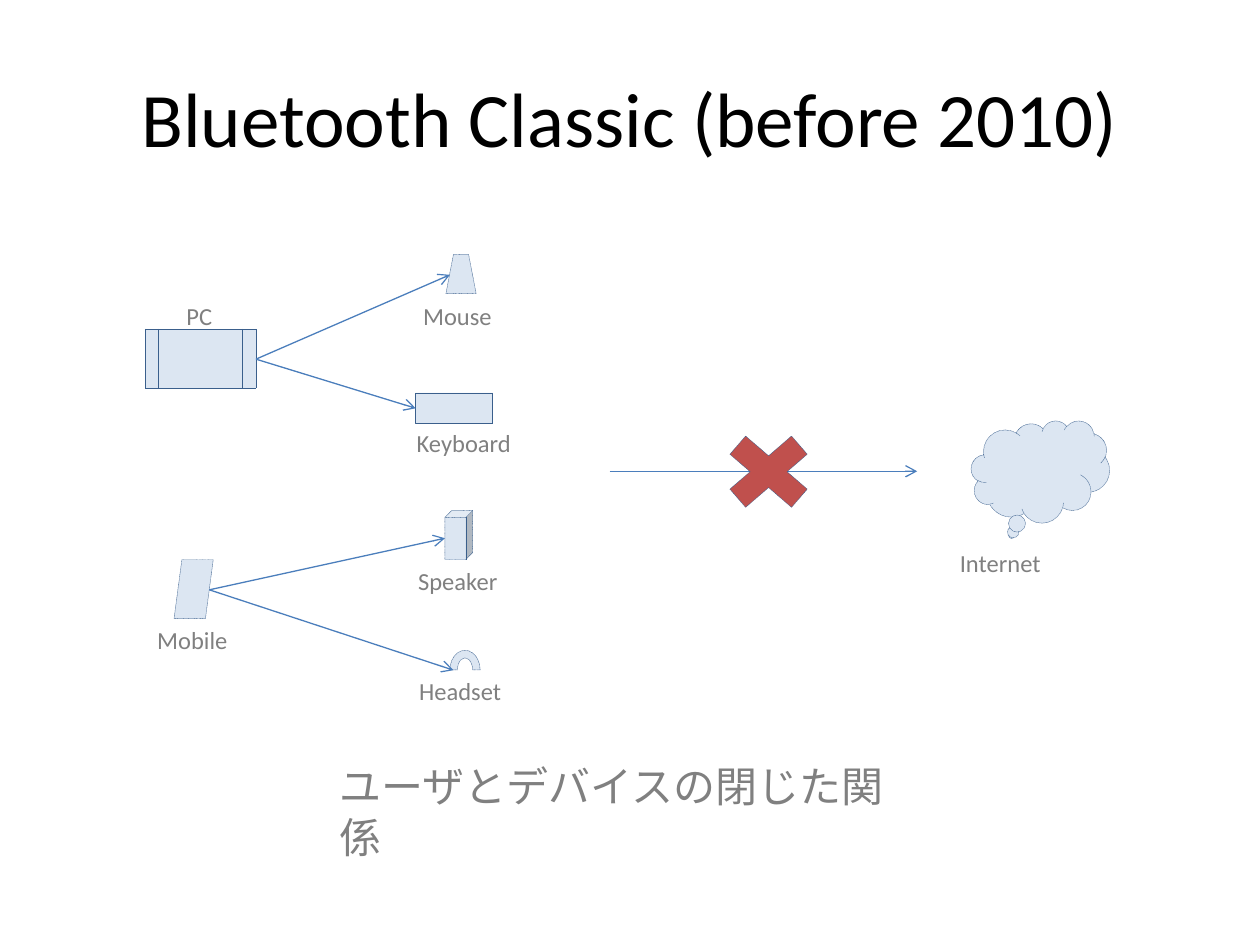
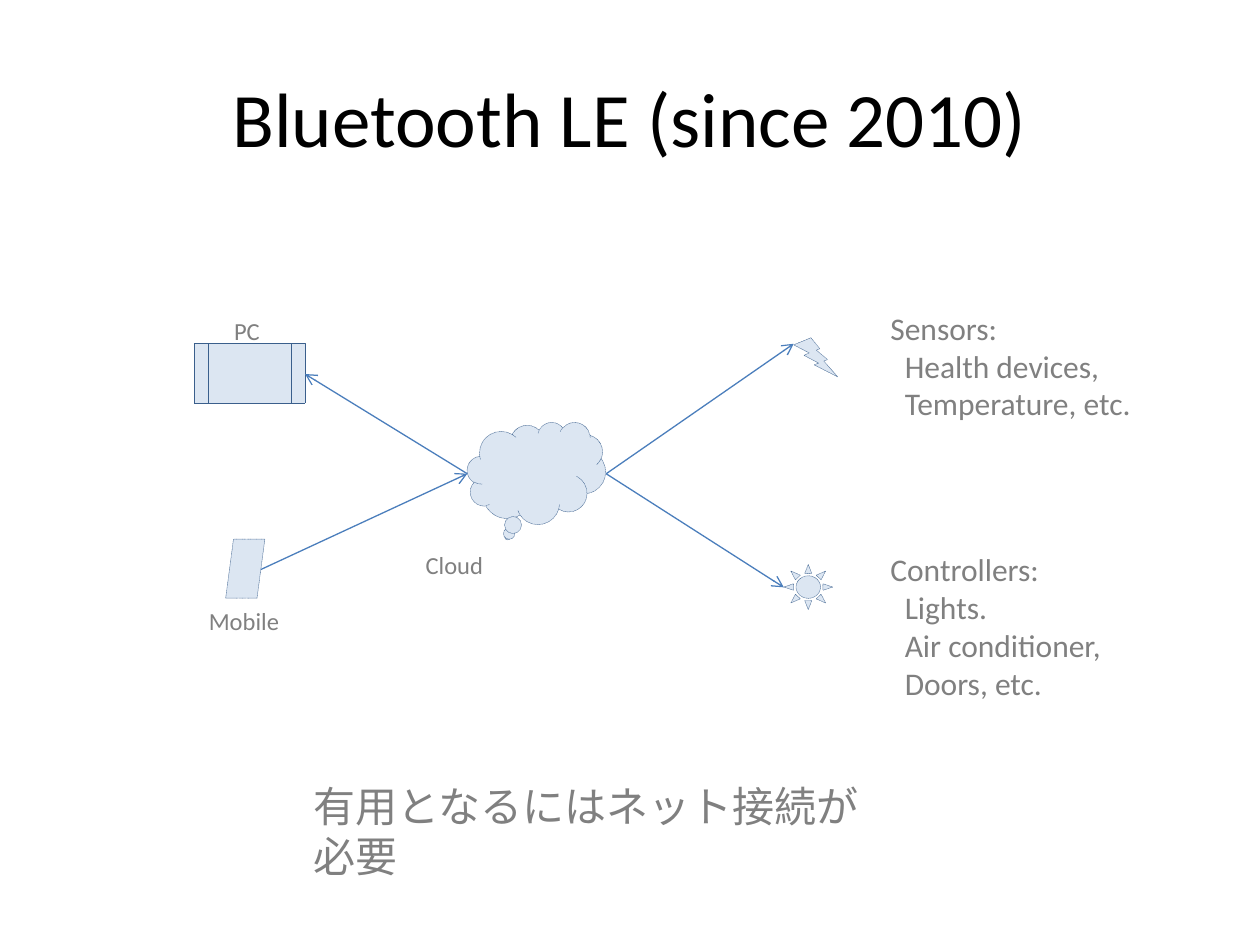
from lxml import etree
from pptx import Presentation
from pptx.dml import color
from pptx.enum import dml, shapes, text
from pptx.oxml import ns
from pptx.util import Cm, Pt

COLORS = {"title": "000000", "text": "808080", "icon": "DCE6F2",
          "outline": "3A5F8C", "arrow": "4B7EBC", "cross": "C0504D"}
FONT = "Calibri"
LABEL_HEIGHT = 0.86
LIST_INDENT = 0.29

# Icon outlines with width and height in cm
Preset = shapes.MSO_SHAPE
ICONS = {
    "cloud": (Preset.CLOUD_CALLOUT, 2.79, 2.06),
    "mobile": (Preset.FLOWCHART_DATA, 0.79, 1.19),
    "pc": (Preset.FLOWCHART_PREDEFINED_PROCESS, 2.24, 1.19),
    "mouse": (Preset.TRAPEZOID, 0.61, 0.79),
    "keyboard": (Preset.RECTANGLE, 1.55, 0.61),
    "speaker": (Preset.CUBE, 0.56, 0.99),
    "headset": (Preset.BLOCK_ARC, 0.61, 0.79),
    "lights": (Preset.SUN, 0.99, 0.91),
    "sensor": (Preset.LIGHTNING_BOLT, 0.89, 0.79),
    "cross": (Preset.MATH_MULTIPLY, 2.39, 2.06),
}

# Label widths in cm
LABELS = {"Mobile": 1.96, "PC": 1.04, "Internet": 2.16, "Keyboard": 2.44,
          "Mouse": 1.9, "Speaker": 2.13, "Headset": 2.18, "Cloud": 1.68}

# Slide contents: positions are left and top in cm, arrows run start to end
SLIDES = [
    {
        "title": "Bluetooth Classic (before 2010)",
        "icons": [("cloud", 19.58, 8.48), ("mobile", 3.51, 11.28),
                  ("pc", 2.92, 6.63), ("mouse", 8.99, 5.13),
                  ("keyboard", 8.38, 7.92), ("speaker", 8.97, 10.29),
                  ("headset", 9.07, 13.11)],
        "arrows": [((5.16, 7.24), (9.07, 5.54)), ((5.16, 7.24), (8.38, 8.23)),
                   ((4.22, 11.89), (8.97, 10.85)),
                   ((4.22, 11.89), (9.14, 13.51)),
                   ((12.29, 9.5), (18.49, 9.5))],
        "marks": [("cross", 14.3, 8.48)],
        "labels": [("Mobile", 2.92, 12.47), ("PC", 3.51, 5.94),
                   ("Internet", 19.1, 10.92), ("Keyboard", 8.15, 8.51),
                   ("Mouse", 8.28, 5.94), ("Speaker", 8.18, 11.28),
                   ("Headset", 8.2, 13.51)],
        "lists": [],
        "caption": ("ユーザとデバイスの閉じた関係", 6.6, 15.21, 11.68),
    },
    {
        "title": "Bluetooth LE (since 2010)",
        "icons": [("cloud", 9.42, 8.51), ("mobile", 4.55, 10.87),
                  ("pc", 3.91, 6.93), ("lights", 15.8, 11.38),
                  ("sensor", 16, 6.81)],
        "arrows": [((9.42, 9.55), (6.15, 7.54)), ((5.26, 11.48), (9.42, 9.55)),
                   ((12.22, 9.55), (16, 6.93)), ((12.22, 9.55), (15.8, 11.84))],
        "marks": [],
        "labels": [("Mobile", 3.96, 12.09), ("PC", 4.47, 6.25),
                   ("Cloud", 8.33, 10.97)],
        "lists": [(["Sensors:", "Health devices,", "Temperature, etc."],
                   17.7, 6.1, 5.59, 2.57),
                  (["Controllers:", "Lights.", "Air conditioner,", "Doors, etc."],
                   17.7, 10.97, 5.59, 3.33)],
        "caption": ("有用となるにはネット接続が必要", 6.07, 15.6, 12.29),
    },
]


def add_text(slide, lines, box, size, color_name="text", wrap=True):
    """Add a text box; every line after the first is indented."""
    shape = slide.shapes.add_textbox(*[Cm(length) for length in box])
    frame = shape.text_frame
    frame.word_wrap = wrap
    for index, line in enumerate(lines):
        paragraph = frame.add_paragraph() if index else frame.paragraphs[0]
        if index:
            paragraph._p.get_or_add_pPr().set("marL", str(Cm(LIST_INDENT)))
        run = paragraph.add_run()
        run.text = line
        run.font.name = FONT
        run.font.size = Pt(size)
        run.font.color.rgb = color.RGBColor.from_string(COLORS[color_name])
    return frame


def add_icon(slide, name, left, top, fill="icon"):
    preset, width, height = ICONS[name]
    shape = slide.shapes.add_shape(preset, Cm(left), Cm(top), Cm(width), Cm(height))
    shape.shadow.inherit = False
    shape.fill.solid()
    shape.fill.fore_color.rgb = color.RGBColor.from_string(COLORS[fill])
    shape.line.color.rgb = color.RGBColor.from_string(COLORS["outline"])
    shape.line.width = Pt(0.25)
    shape.line.dash_style = dml.MSO_LINE.ROUND_DOT


presentation = Presentation()
presentation.slide_width = Cm(25.4)
presentation.slide_height = Cm(19.05)

for content in SLIDES:
    slide = presentation.slides.add_slide(presentation.slide_layouts[6])

    # Title
    frame = add_text(slide, [content["title"]], (1.27, 0.76, 22.86, 3.18), 44, "title")
    frame.vertical_anchor = text.MSO_ANCHOR.MIDDLE
    frame.paragraphs[0].alignment = text.PP_ALIGN.CENTER

    # Devices and cloud
    for name, left, top in content["icons"]:
        add_icon(slide, name, left, top)

    # Arrows
    for start, end in content["arrows"]:
        connector = slide.shapes.add_connector(
            shapes.MSO_CONNECTOR.STRAIGHT, *[Cm(length) for length in start + end])
        connector.line.color.rgb = color.RGBColor.from_string(COLORS["arrow"])
        connector.line.width = Pt(0.75)
        etree.SubElement(connector.line._get_or_add_ln(), ns.qn("a:tailEnd"), type="arrow")
        etree.SubElement(connector._element.spPr, ns.qn("a:effectLst"))

    # Cross over the blocked connection
    for name, left, top in content["marks"]:
        add_icon(slide, name, left, top, fill="cross")

    # Labels, device lists and caption
    for label, left, top in content["labels"]:
        add_text(slide, [label], (left, top, LABELS[label], LABEL_HEIGHT), 14, wrap=False)
    for lines, *box in content["lists"]:
        add_text(slide, lines, box, 18)
    caption, left, top, width = content["caption"]
    add_text(slide, [caption], (left, top, width, 1.27), 24)

presentation.save("out.pptx")
